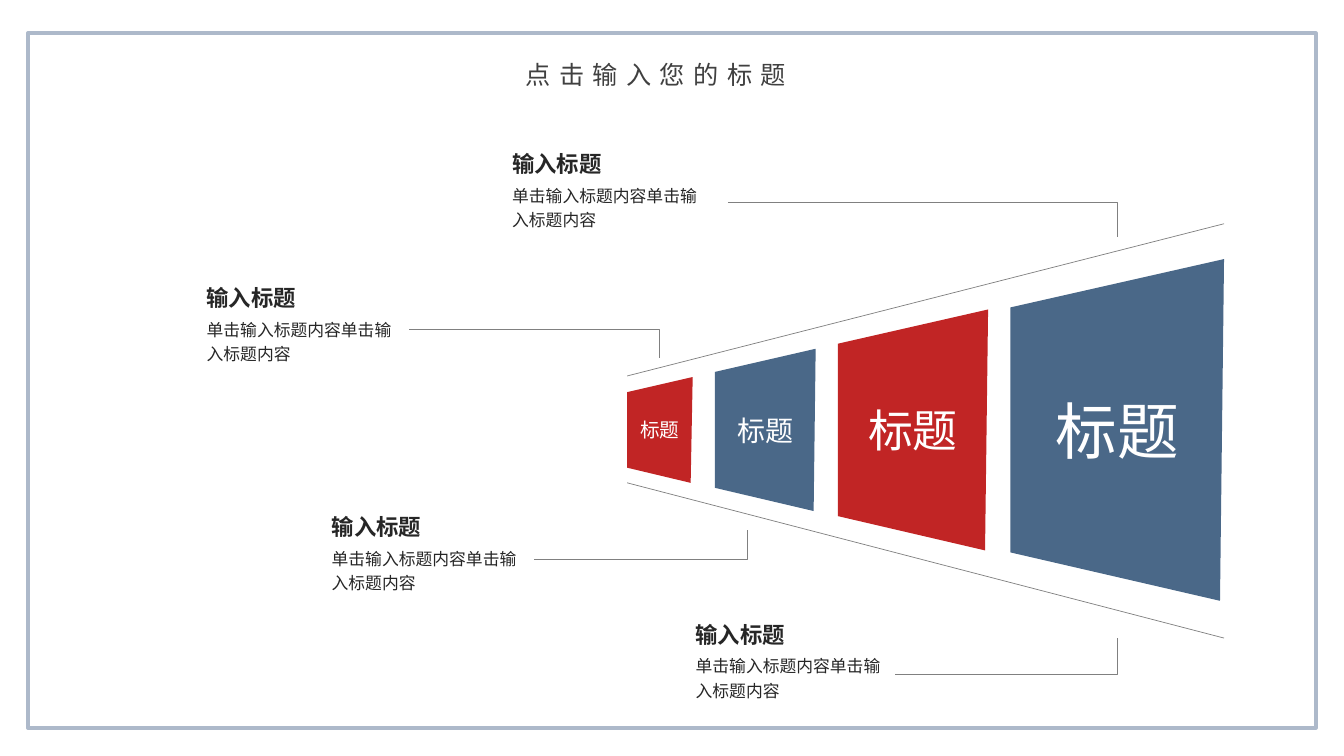
from lxml import etree
from pptx import Presentation
from pptx.dml.color import RGBColor
from pptx.enum import shapes, text
from pptx.oxml import ns
from pptx.util import Inches, Pt

RED = RGBColor(0xC1, 0x25, 0x25)
BLUE = RGBColor(0x4A, 0x68, 0x88)
FRAME = RGBColor(0xAD, 0xB9, 0xCA)
GREY = RGBColor(0x80, 0x80, 0x80)
TITLE = RGBColor(0x40, 0x40, 0x40)
BODY = RGBColor(0x26, 0x26, 0x26)
WHITE = RGBColor(0xFF, 0xFF, 0xFF)
CJK_FONT = "Noto Sans CJK SC"

# Sum of the top and bottom edge of every segment: the funnel is symmetric.
TOP_PLUS_BOTTOM = 8.53
# left, right, top at left, top at right, lean of the right edge, size, colour
SEGMENTS = [
    (6.22, 6.87, 3.89, 3.74, 0.02, 14, RED),
    (7.09, 8.09, 3.69, 3.46, 0.02, 20, BLUE),
    (8.31, 9.8, 3.41, 3.07, 0.03, 32, RED),
    (10.02, 12.14, 3.05, 2.57, 0.04, 44, BLUE),
]
GUIDES = [((6.22, 3.73), (12.14, 2.22)), ((6.22, 4.79), (12.14, 6.33))]
# text corner, leader start, leader end
CALLOUTS = [
    ((4.99, 1.49), (7.22, 2.01), (11.08, 2.35)),
    ((1.96, 2.82), (4.06, 3.27), (6.54, 3.55)),
    ((3.2, 5.09), (5.3, 5.55), (7.41, 5.26)),
    ((6.81, 6.16), (8.88, 6.69), (11.08, 6.33)),
]


class FunnelSlide:
    def __init__(self, presentation):
        self.slide = presentation.slides.add_slide(presentation.slide_layouts[5])
        self.shapes = self.slide.shapes

    def set_text(self, shape, content, size, color, font=CJK_FONT, bold=False,
                 align=text.PP_ALIGN.LEFT, anchor=text.MSO_ANCHOR.TOP,
                 inset=0.09, spacing=1.0, tracking=0):
        frame = shape.text_frame
        frame_format = {
            "word_wrap": True, "auto_size": text.MSO_AUTO_SIZE.NONE,
            "vertical_anchor": anchor, "margin_top": 0, "margin_bottom": 0,
            "margin_left": Inches(inset), "margin_right": Inches(inset),
        }
        for name, value in frame_format.items():
            setattr(frame, name, value)
        paragraph = frame.paragraphs[0]
        paragraph.alignment = align
        paragraph.line_spacing = spacing
        run = paragraph.add_run()
        run.text = content
        for name, value in {"name": font, "size": Pt(size), "bold": bold}.items():
            setattr(run.font, name, value)
        run.font.color.rgb = color
        properties = run._r.get_or_add_rPr()
        etree.SubElement(properties, ns.qn("a:ea")).set("typeface", font)
        if tracking:
            properties.set("spc", str(tracking * 100))

    def frame(self, left, top, width, height):
        shape = self.shapes.add_shape(shapes.MSO_SHAPE.RECTANGLE, Inches(left),
                                      Inches(top), Inches(width), Inches(height))
        shape.shadow.inherit = False
        shape.fill.background()
        shape.line.color.rgb = FRAME
        shape.line.width = Pt(3)

    def title(self, content, left, top, width, height):
        shape = self.shapes.title
        box = {"left": left, "top": top, "width": width, "height": height}
        for name, value in box.items():
            setattr(shape, name, Inches(value))
        self.set_text(shape, content, 18, TITLE, font="Arial", inset=0, tracking=6,
                      align=text.PP_ALIGN.CENTER, anchor=text.MSO_ANCHOR.MIDDLE)

    def textbox(self, left, top, width, height, content, size, **style):
        shape = self.shapes.add_textbox(Inches(left), Inches(top),
                                        Inches(width), Inches(height))
        self.set_text(shape, content, size, BODY, **style)

    def segment(self, left, right, top_left, top_right, lean, size, color):
        corners = [
            (right, top_right), (left, top_left),
            (left, TOP_PLUS_BOTTOM - top_left),
            (right - lean, TOP_PLUS_BOTTOM - top_right),
        ]
        points = [(Inches(x), Inches(y)) for x, y in corners]
        builder = self.shapes.build_freeform(*points[0])
        builder.add_line_segments(points[1:], close=True)
        shape = builder.convert_to_shape()
        shape.shadow.inherit = False
        shape.fill.solid()
        shape.fill.fore_color.rgb = color
        shape.line.fill.background()
        self.set_text(shape, "标题", size, WHITE, align=text.PP_ALIGN.CENTER,
                      anchor=text.MSO_ANCHOR.MIDDLE)

    def line(self, start, end, kind=shapes.MSO_CONNECTOR.STRAIGHT):
        connector = self.shapes.add_connector(
            kind, *[Inches(value) for value in (*start, *end)])
        connector.line.color.rgb = GREY
        connector.line.width = Pt(0.5)
        properties = connector._element.spPr
        etree.SubElement(properties, ns.qn("a:effectLst"))
        return connector

    def leader(self, start, end):
        """Draw an elbow that runs level first and turns at its far end."""
        connector = self.line(start, end, shapes.MSO_CONNECTOR.ELBOW)
        geometry = connector._element.spPr.find(ns.qn("a:prstGeom"))
        adjustments = geometry.get_or_add_avLst()
        guide = etree.SubElement(adjustments, ns.qn("a:gd"))
        guide.set("name", "adj1")
        guide.set("fmla", "val 100000")

    def callout(self, corner, start, end):
        left, top = corner
        self.leader(start, end)
        self.textbox(left, top + 0.31, 2.1, 0.61,
                     "单击输入标题内容单击输入标题内容", 12, spacing=1.2)
        self.textbox(left, top, 1.86, 0.33, "输入标题", 16, bold=True)


def main():
    presentation = Presentation()
    presentation.slide_width = Inches(13.33)
    presentation.slide_height = Inches(7.5)
    funnel = FunnelSlide(presentation)
    funnel.frame(0.28, 0.33, 12.77, 6.89)
    funnel.title("点击输入您的标题", 4.46, 0.59, 4.09, 0.3)
    for segment in SEGMENTS:
        funnel.segment(*segment)
    for guide in GUIDES:
        funnel.line(*guide)
    for callout in CALLOUTS:
        funnel.callout(*callout)
    presentation.save("out.pptx")


if __name__ == "__main__":
    main()
